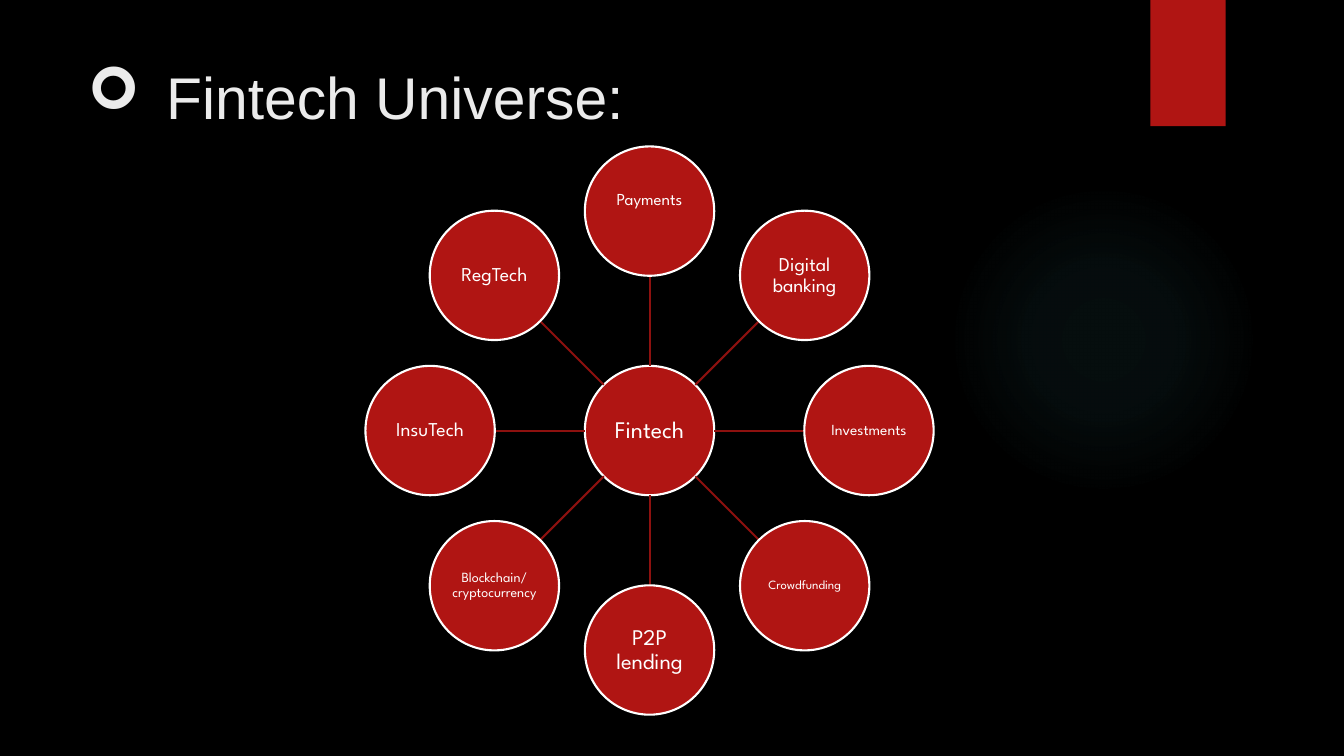
"""Builds the Fintech Universe slide: a hub with eight fields around it."""
import math

from lxml import etree
from pptx import Presentation
from pptx import util as u
from pptx.dml.color import RGBColor
from pptx.enum import shapes, text
from pptx.oxml import parse_xml
from pptx.oxml.ns import nsdecls, qn

TITLE = "Fintech Universe:"
BULLET = "➢"
HUB = ("Fintech", 17)
FIELDS = [
    ("Payments", 12),
    ("Digital banking", 14),
    ("Investments", 11),
    ("Crowdfunding", 9),
    ("P2P lending", 16),
    ("Blockchain/cryptocurrency", 10),
    ("InsuTech", 14),
    ("RegTech", 14),
]
RAISED = {"Payments": 0.6}

THEME = {
    "back": "000000", "red": "B01513", "spoke": "8D110F", "white": "FFFFFF",
    "title": "EBEBEB", "glow": "50B9C1", "title_font": "Arial",
    "label_font": "League Spartan", "title_size": 42, "line": 1.5,
}
GLOW_STOPS = [(0, 7), (36, 6), (69, 0)]
CENTER_X, CENTER_Y = 16.37, 10.85
ORBIT, DIAMETER = 5.53, 3.26


def color(name):
    return RGBColor.from_string(THEME[name])


def add_plain(s, kind, x, y, w, h, fill):
    sp = s.shapes.add_shape(kind, u.Cm(x), u.Cm(y), u.Cm(w), u.Cm(h))
    sp.shadow.inherit = False
    sp.fill.solid()
    sp.fill.fore_color.rgb = color(fill)
    sp.line.fill.background()
    return sp


def add_run(p, words, font, size, fill):
    r = p.add_run()
    r.text = words
    r.font.name = THEME[font]
    r.font.size = u.Pt(size)
    r.font.color.rgb = color(fill)


def add_glow(s):
    sp = add_plain(s, shapes.MSO_SHAPE.OVAL, 23.9, 4.65, 7.82, 7.82, "glow")
    stops = "".join(
        f'<a:gs pos="{pos * 1000}"><a:srgbClr val="{THEME["glow"]}">'
        f'<a:alpha val="{alpha * 1000}"/></a:srgbClr></a:gs>'
        for pos, alpha in GLOW_STOPS)
    grad = parse_xml(
        f'<a:gradFill {nsdecls("a")}><a:gsLst>{stops}</a:gsLst><a:path path="circle">'
        '<a:fillToRect l="50000" t="50000" r="50000" b="50000"/></a:path></a:gradFill>')
    props = sp.fill._xPr
    props.replace(props.find(qn("a:solidFill")), grad)


def add_title(s):
    sp = s.shapes.add_textbox(u.Cm(1.96), u.Cm(1.4), u.Cm(26.14), u.Cm(2.97))
    tf = sp.text_frame
    tf.word_wrap = True
    p = tf.paragraphs[0]
    props = p._p.get_or_add_pPr()
    props.set("marL", str(u.Cm(1.98)))
    props.set("indent", str(-u.Cm(1.98)))
    etree.SubElement(props, qn("a:buFont")).set("typeface", "Wingdings")
    etree.SubElement(props, qn("a:buChar")).set("char", BULLET)
    add_run(p, TITLE, "title_font", THEME["title_size"], "title")


def add_circle(s, x, y, label, size):
    sp = add_plain(s, shapes.MSO_SHAPE.OVAL, x - DIAMETER / 2, y - DIAMETER / 2,
                   DIAMETER, DIAMETER, "red")
    sp.line.color.rgb = color("white")
    sp.line.width = u.Pt(THEME["line"])
    tf = sp.text_frame
    tf.word_wrap = True
    tf.vertical_anchor = text.MSO_ANCHOR.MIDDLE
    tf.margin_left = tf.margin_right = tf.margin_top = u.Cm(0.03)
    tf.margin_bottom = u.Cm(RAISED.get(label, 0.03))
    p = tf.paragraphs[0]
    p.alignment = text.PP_ALIGN.CENTER
    p.line_spacing = 0.9
    add_run(p, label, "label_font", size, "white")


def add_spoke(s, dx, dy):
    ends = [u.Cm(c + d * reach) for reach in (DIAMETER / 2, ORBIT - DIAMETER / 2)
            for c, d in ((CENTER_X, dx), (CENTER_Y, dy))]
    line = s.shapes.add_connector(shapes.MSO_CONNECTOR.STRAIGHT, *ends)
    line.line.color.rgb = color("spoke")
    line.line.width = u.Pt(THEME["line"])
    etree.SubElement(line._element.spPr, qn("a:effectLst"))


def main():
    prs = Presentation()
    prs.slide_width, prs.slide_height = u.Cm(33.87), u.Cm(19.05)
    s = prs.slides.add_slide(prs.slide_layouts[6])
    s.background.fill.solid()
    s.background.fill.fore_color.rgb = color("back")
    add_glow(s)
    add_plain(s, shapes.MSO_SHAPE.RECTANGLE, 28.99, 0, 1.9, 3.18, "red")
    add_title(s)
    add_circle(s, CENTER_X, CENTER_Y, *HUB)
    for i, (label, size) in enumerate(FIELDS):
        angle = math.tau * i / len(FIELDS)
        dx, dy = math.sin(angle), -math.cos(angle)
        add_spoke(s, dx, dy)
        add_circle(s, CENTER_X + ORBIT * dx, CENTER_Y + ORBIT * dy, label, size)
    prs.save("out.pptx")


if __name__ == "__main__":
    main()
